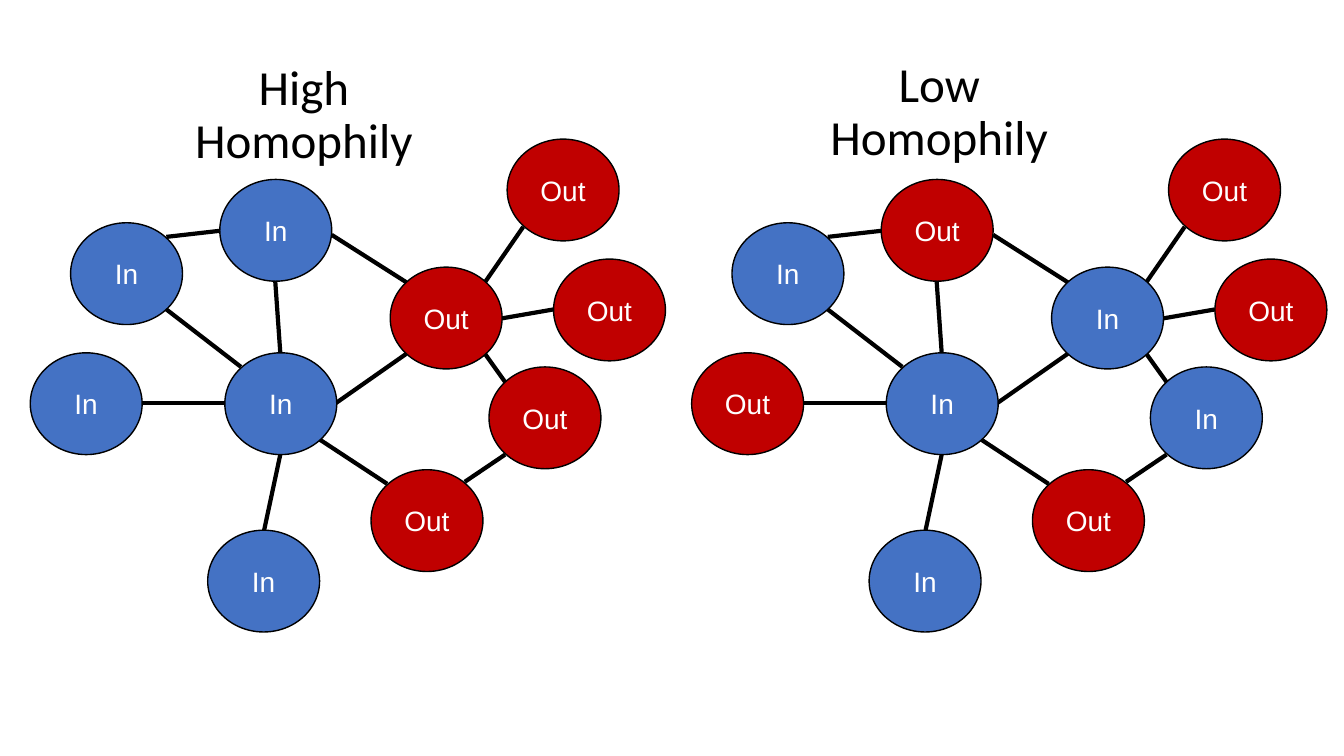
from pptx import Presentation
from pptx.dml.color import RGBColor
from pptx.enum.shapes import MSO_CONNECTOR, MSO_SHAPE
from pptx.enum.text import MSO_ANCHOR, PP_ALIGN
from pptx.oxml.ns import qn
from pptx.util import Inches, Pt
from lxml import etree

LINE = MSO_CONNECTOR.STRAIGHT
OVAL = MSO_SHAPE.OVAL
MIDDLE = MSO_ANCHOR.MIDDLE
CENTER = PP_ALIGN.CENTER
BLUE = RGBColor(0x44, 0x72, 0xC4)
RED = RGBColor(0xC0, 0x00, 0x00)
BLACK = RGBColor(0, 0, 0)
WHITE = RGBColor(255, 255, 255)
FILLS = {"In": BLUE, "Out": RED}
WIDE, HIGH = 1.11, 1.01

nodes = [
    (2.23, 3.5), (0.7, 2.21), (2.18, 1.78), (3.87, 2.65), (0.3, 3.5),
    (3.68, 4.66), (2.06, 5.26), (5.03, 1.38), (5.49, 2.57), (4.85, 3.64),
]
edges = [
    (1.65, 3.07, 2.39, 3.64), (2.73, 2.79, 2.78, 3.5),
    (1.41, 4, 2.23, 4), (4.03, 3.51, 3.33, 4),
    (3.84, 4.8, 3.17, 4.36), (2.62, 5.26, 2.78, 4.51),
    (3.29, 2.33, 4.03, 2.8), (1.65, 2.35, 2.18, 2.29),
    (4.81, 3.51, 5.01, 3.79), (4.97, 3.16, 5.49, 3.07),
    (4.81, 2.8, 5.19, 2.25), (4.61, 4.78, 5.01, 4.51),
]
graphs = [
    ("High Homophily", 1.41, 0.58, 0,
     ["In", "In", "In", "Out", "In", "Out", "In", "Out", "Out", "Out"]),
    ("Low Homophily", 7.71, 0.55, 6.56,
     ["In", "In", "Out", "In", "Out", "Out", "In", "Out", "Out", "In"]),
]


def write(frame, text, font, size, color):
    frame.word_wrap = True
    frame.text = text
    para = frame.paragraphs[0]
    para.alignment = CENTER
    run = para.runs[0].font
    run.name = font
    run.size = Pt(size)
    run.color.rgb = color
    return para


prs = Presentation()
prs.slide_width = Inches(13.33)
prs.slide_height = Inches(7.5)
slide = prs.slides.add_slide(prs.slide_layouts[6])
shapes = slide.shapes

for title, left, top, shift, groups in graphs:
    box = shapes.add_textbox(Inches(left), Inches(top), Inches(3.21), Inches(0.57))
    para = write(box.text_frame, title, "Calibri", 35, BLACK)
    para.line_spacing = 0.9

    for x1, y1, x2, y2 in edges:
        edge = shapes.add_connector(
            LINE, Inches(x1 + shift), Inches(y1), Inches(x2 + shift), Inches(y2))
        edge.line.color.rgb = BLACK
        edge.line.width = Pt(3)
        etree.SubElement(edge.element.spPr, qn("a:effectLst"))

    for (x, y), group in zip(nodes, groups):
        node = shapes.add_shape(
            OVAL, Inches(x + shift), Inches(y), Inches(WIDE), Inches(HIGH))
        node.shadow.inherit = False
        node.fill.solid()
        node.fill.fore_color.rgb = FILLS[group]
        node.line.color.rgb = BLACK
        node.line.width = Pt(1)
        node.text_frame.vertical_anchor = MIDDLE
        write(node.text_frame, group, "Arial", 20, WHITE)

prs.save("out.pptx")
